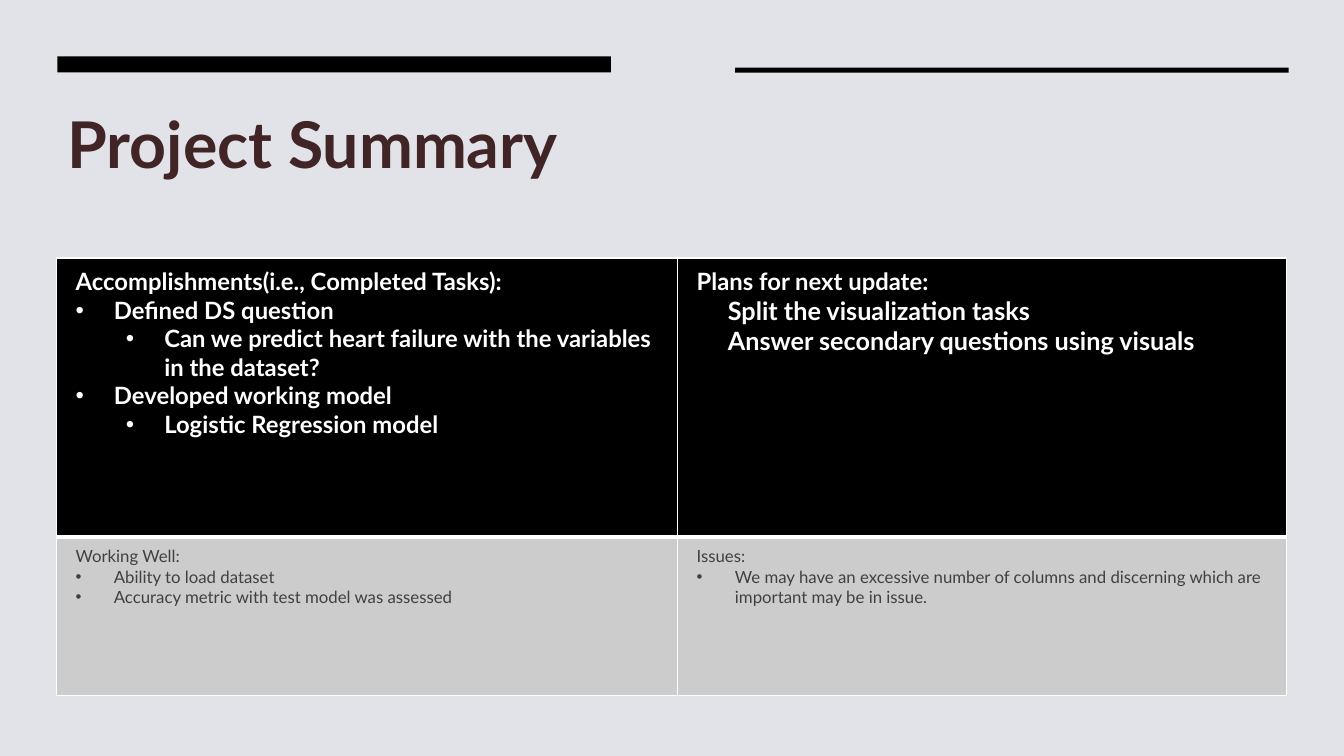
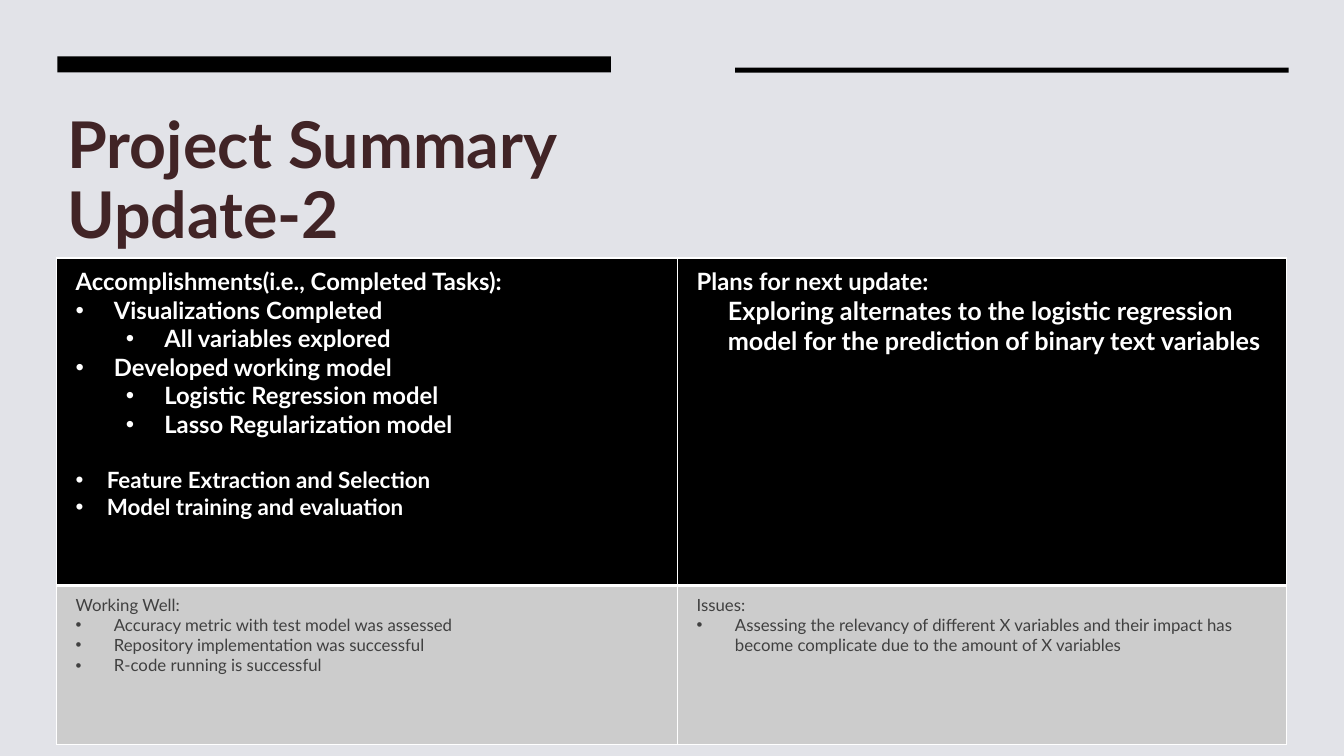
from lxml import etree
from pptx import Presentation
from pptx.dml.color import RGBColor
from pptx.enum.shapes import MSO_SHAPE
from pptx.oxml.ns import qn
from pptx.util import Inches, Pt

RECTANGLE = MSO_SHAPE.RECTANGLE
FONT = "Lato"
BACKGROUND, TITLE, BLACK, WHITE = "E2E3E8", "412426", "000000", "FFFFFF"
GRAY, DARK_GRAY = "CCCCCC", "404040"

BARS = [(0.57, 0.56, 0.16), (7.29, 0.67, 0.05)]
BAR_WIDTH = 5.49
COLUMN_WIDTHS = [6.16, 6.04]
ROW_STYLES = [
    dict(fill=BLACK, color=WHITE, size=17, bold=True),
    dict(fill=GRAY, color=DARK_GRAY, size=12, bold=False),
]
BORDERS = [
    {"lnL": 1, "lnR": 1, "lnT": 1, "lnB": 3},
    {"lnL": 1, "lnR": 1, "lnT": 3, "lnB": 1},
]

ITEM = dict(left=0.38, hanging=0.38)
SUBITEM = dict(left=0.88, hanging=0.38)
TIGHT_ITEM = dict(left=0.31, hanging=0.31, size=16)
PLAN = dict(left=0.31, size=18)

SLIDES = [
    dict(
        title="Project Summary",
        row_heights=[2.77, 1.57],
        cells=[
            [
                [
                    ("Accomplishments(i.e., Completed Tasks):", {}),
                    ("Defined DS question", ITEM),
                    ("Can we predict heart failure with the variables in the dataset?", SUBITEM),
                    ("Developed working model", ITEM),
                    ("Logistic Regression model", SUBITEM),
                ],
                [
                    ("Plans for next update:", {}),
                    ("Split the visualization tasks", PLAN),
                    ("Answer secondary questions using visuals", PLAN),
                ],
            ],
            [
                [
                    ("Working Well:", {}),
                    ("Ability to load dataset", ITEM),
                    ("Accuracy metric with test model was assessed", ITEM),
                ],
                [
                    ("Issues:", {}),
                    ("We may have an excessive number of columns and discerning "
                     "which are important may be in issue.", ITEM),
                ],
            ],
        ],
    ),
    dict(
        title="Project Summary Update-2",
        row_heights=[3.25, 1.58],
        cells=[
            [
                [
                    ("Accomplishments(i.e., Completed Tasks):", {}),
                    ("Visualizations Completed", ITEM),
                    ("All variables explored", SUBITEM),
                    ("Developed working model", ITEM),
                    ("Logistic Regression model", SUBITEM),
                    ("Lasso Regularization model", SUBITEM),
                    ("Feature Extraction and Selection", dict(TIGHT_ITEM, before=20)),
                    ("Model training and evaluation", TIGHT_ITEM),
                ],
                [
                    ("Plans for next update:", {}),
                    ("Exploring alternates to the logistic regression model for "
                     "the prediction of binary text variables", PLAN),
                ],
            ],
            [
                [
                    ("Working Well:", {}),
                    ("Accuracy metric with test model was assessed", ITEM),
                    ("Repository implementation was successful", ITEM),
                    ("R-code running is successful", ITEM),
                ],
                [
                    ("Issues:", {}),
                    ("Assessing the relevancy of different X variables and their impact "
                     "has become complicate due to the amount of X variables", ITEM),
                ],
            ],
        ],
    ),
]


def paint(fill, color):
    fill.solid()
    fill.fore_color.rgb = RGBColor.from_string(color)


def write(para, text, size, color, bold=True, left=0, hanging=0, before=0, spacing=1.0):
    para.line_spacing = spacing
    para.space_before = Pt(before)
    span = para.add_run()
    span.text = text
    span.font.name = FONT
    span.font.size = Pt(size)
    span.font.bold = bold
    span.font.color.rgb = RGBColor.from_string(color)
    properties = para._p.get_or_add_pPr()
    properties.set("marL", str(Inches(left)))
    properties.set("indent", str(-Inches(hanging)))
    if hanging:
        etree.SubElement(properties, qn("a:buFont"), typeface="Arial")
        etree.SubElement(properties, qn("a:buChar"), char="•")


deck = Presentation()
deck.slide_width = Inches(13.33)
deck.slide_height = Inches(7.5)
blank = deck.slide_layouts[6]

for content in SLIDES:
    page = deck.slides.add_slide(blank)
    paint(page.background.fill, BACKGROUND)

    box = page.shapes.add_textbox(Inches(0.57), Inches(1.07), Inches(5.49), Inches(1.87))
    box.text_frame.word_wrap = True
    write(box.text_frame.paragraphs[0], content["title"], size=46, color=TITLE, spacing=0.9)

    for left, top, height in BARS:
        bar = page.shapes.add_shape(
            RECTANGLE, Inches(left), Inches(top), Inches(BAR_WIDTH), Inches(height))
        bar.shadow.inherit = False
        paint(bar.fill, BLACK)
        bar.line.fill.background()

    heights = content["row_heights"]
    table = page.shapes.add_table(
        len(heights), len(COLUMN_WIDTHS), Inches(0.56), Inches(2.56),
        Inches(sum(COLUMN_WIDTHS)), Inches(sum(heights))).table
    table.horz_banding = False
    for column, width in zip(table.columns, COLUMN_WIDTHS):
        column.width = Inches(width)

    for row, height, texts, style, borders in zip(
            table.rows, heights, content["cells"], ROW_STYLES, BORDERS):
        row.height = Inches(height)
        text_style = {key: value for key, value in style.items() if key != "fill"}
        for cell, lines in zip(row.cells, texts):
            cell.margin_left = Inches(0.19)
            cell.margin_right = Inches(0.14)
            cell.margin_top = cell.margin_bottom = Inches(0.09)
            properties = cell._tc.get_or_add_tcPr()
            for side, width in borders.items():
                line = etree.SubElement(properties, qn("a:" + side), w=str(Pt(width)))
                solid = etree.SubElement(line, qn("a:solidFill"))
                etree.SubElement(solid, qn("a:srgbClr"), val=WHITE)
            paint(cell.fill, style["fill"])
            frame = cell.text_frame
            for index, (text, options) in enumerate(lines):
                para = frame.add_paragraph() if index else frame.paragraphs[0]
                write(para, text, **{**text_style, **options})

deck.save("out.pptx")
